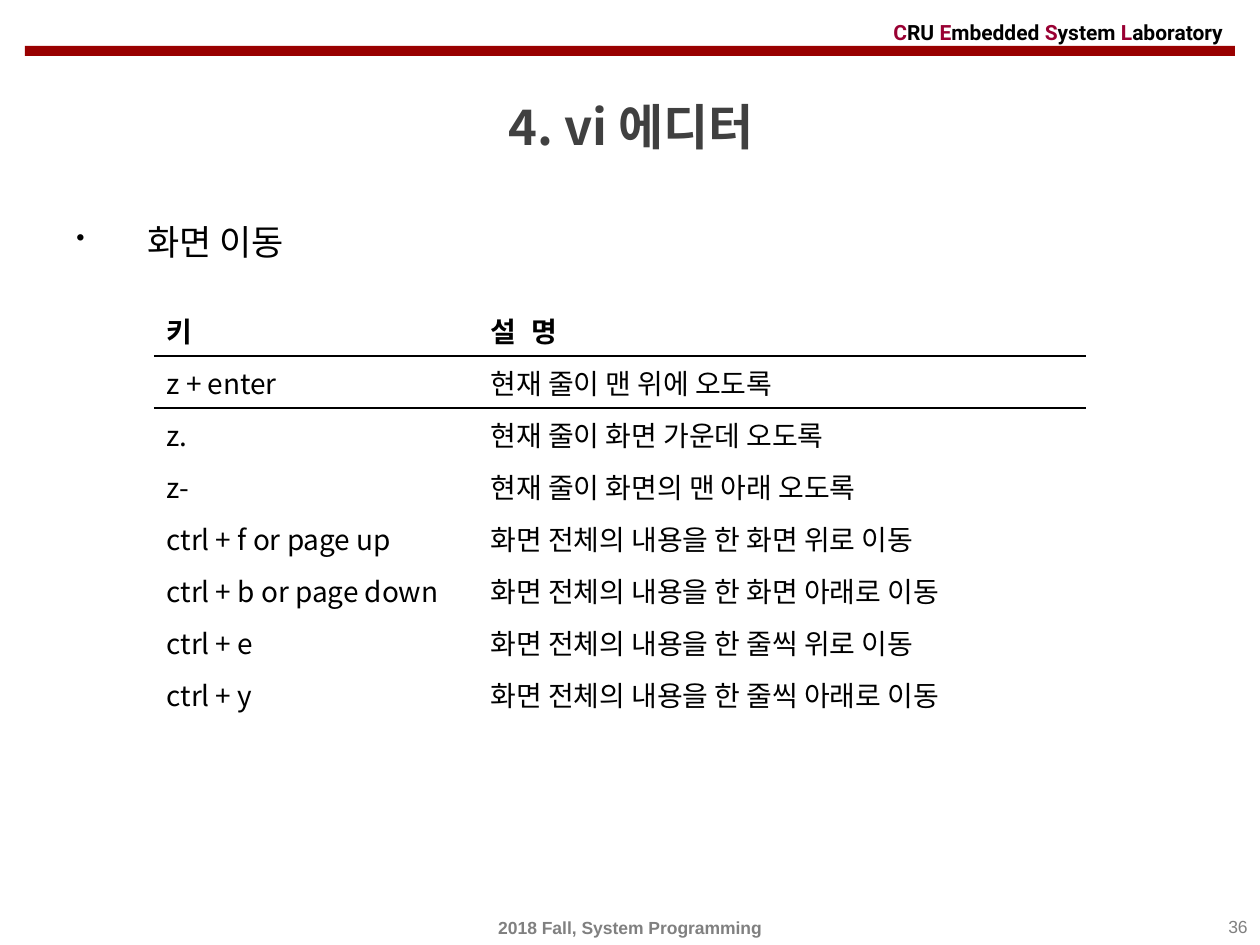
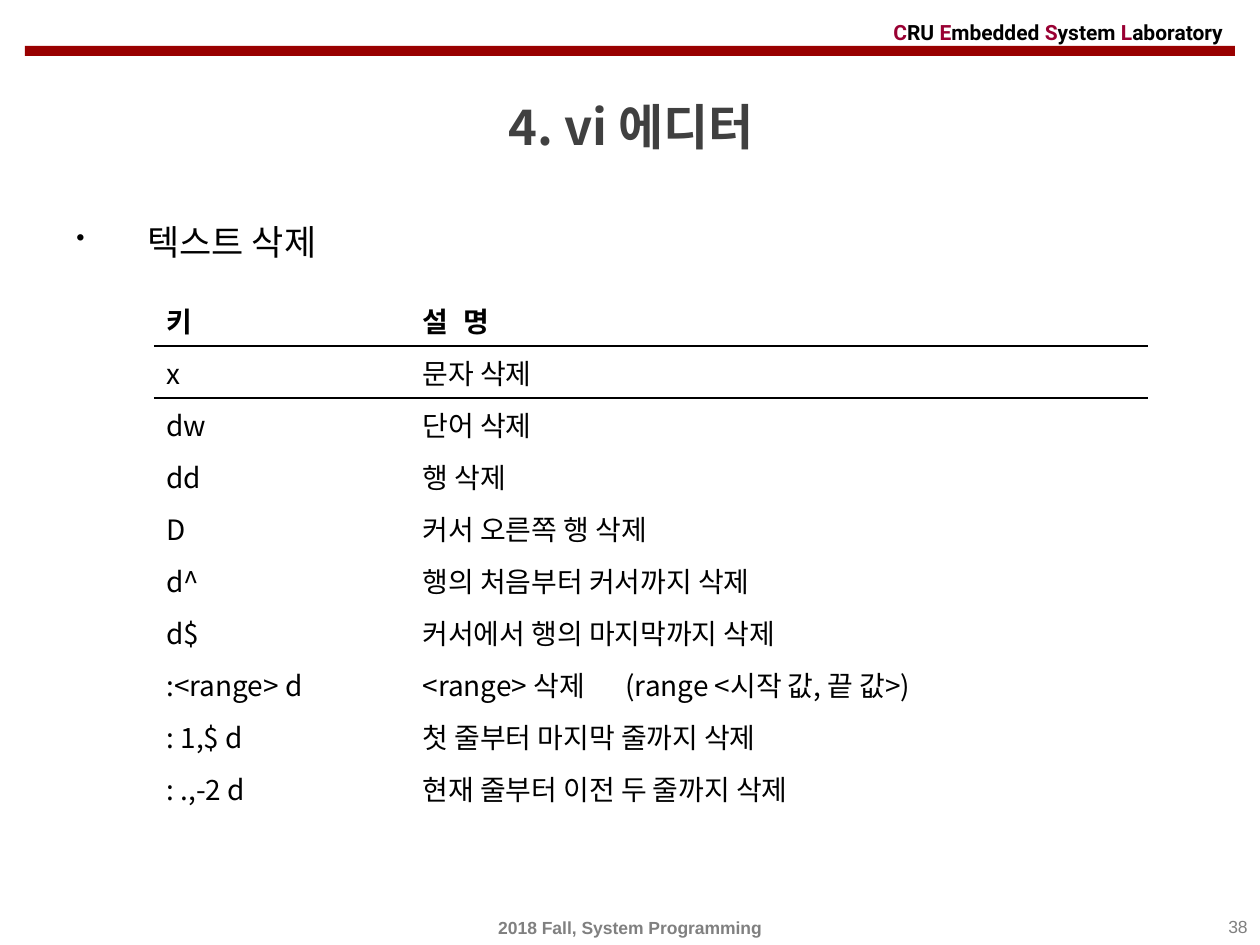
from dataclasses import dataclass

from lxml import etree
from pptx import Presentation
from pptx.dml.color import RGBColor
from pptx.enum.shapes import MSO_SHAPE
from pptx.enum.text import MSO_ANCHOR, PP_ALIGN
from pptx.oxml.ns import qn
from pptx.util import Pt

RECT = MSO_SHAPE.RECTANGLE
TOP, MIDDLE = MSO_ANCHOR.TOP, MSO_ANCHOR.MIDDLE
LEFT, CENTER, RIGHT = PP_ALIGN.LEFT, PP_ALIGN.CENTER, PP_ALIGN.RIGHT
PX = 914400 / 126
NO_TABLE_STYLE = "{2D5ABB26-0587-4C30-8999-92F81FD0307C}"


@dataclass(frozen=True)
class Theme:
    band: str = "990000"
    accent: str = "990033"
    title: str = "404040"
    text: str = "000000"
    muted: str = "808080"
    title_pt: int = 28
    body_pt: int = 20
    table_pt: int = 16
    header_pt: int = 12
    footer_pt: int = 10
    korean: str = "Noto Sans CJK KR"
    latin: str = "Roboto"
    footer: str = "Arial"


T = Theme()
TITLE = "4. vi 에디터"
FOOTER = "2018 Fall, System Programming"
LAB_NAME = ["CRU ", "Embedded ", "System ", "Laboratory"]
HEADINGS = ("키", "설\t명")
ROW_H = 52
TABLE_LEFT = 154

# Each page: number, topic, table top, column widths, rows, tab stops by text
PAGES = [
    (36, "화면 이동", 304, (324, 608), [
        ("z + enter", "현재 줄이 맨 위에 오도록"),
        ("z.", "현재 줄이 화면 가운데 오도록"),
        ("z-", "현재 줄이 화면의 맨 아래 오도록"),
        ("ctrl + f or page up", "화면 전체의 내용을 한 화면 위로 이동"),
        ("ctrl + b or page down", "화면 전체의 내용을 한 화면 아래로 이동"),
        ("ctrl + e", "화면 전체의 내용을 한 줄씩 위로 이동"),
        ("ctrl + y", "화면 전체의 내용을 한 줄씩 아래로 이동"),
    ]),
    (38, "텍스트 삭제", 294, (256, 738), [
        ("x", "문자 삭제"),
        ("dw", "단어 삭제"),
        ("dd", "행 삭제"),
        ("D", "커서 오른쪽 행 삭제"),
        ("d^", "행의 처음부터 커서까지 삭제"),
        ("d$", "커서에서 행의 마지막까지 삭제"),
        (":<range> d", "<range> 삭제\t(range <시작 값, 끝 값>)"),
        (": 1,$ d", "첫 줄부터 마지막 줄까지 삭제"),
        (": .,-2 d", "현재 줄부터 이전 두 줄까지 삭제"),
    ]),
]
HEADING_TAB, RANGE_TAB = 41, 203


def style(p, size, color, font, bold=False):
    """Format every run of a paragraph, for Latin and Korean letters alike."""
    for r in p.runs:
        r.font.size, r.font.bold, r.font.name = Pt(size), bold, font
        r.font.color.rgb = RGBColor.from_string(color)
        ea = etree.SubElement(r.font._element, qn("a:ea"))
        ea.set("typeface", T.korean)


def add_text(s, box, text, align=LEFT, anchor=TOP):
    """Add a wrapping text box, given in px, and return its paragraph."""
    tf = s.shapes.add_textbox(*(round(v * PX) for v in box)).text_frame
    tf.word_wrap, tf.vertical_anchor = True, anchor
    p = tf.paragraphs[0]
    p.text, p.alignment = text, align
    return p


prs = Presentation()
prs.slide_width, prs.slide_height = round(1260 * PX), round(945 * PX)
title_only = prs.slide_layouts[5]

for number, topic, table_top, widths, rows in PAGES:
    s = prs.slides.add_slide(title_only)

    # Band and laboratory name
    band = s.shapes.add_shape(RECT, *(round(v * PX) for v in (25, 46, 1210, 10)))
    band.shadow.inherit = False
    band.fill.solid()
    band.fill.fore_color.rgb = RGBColor.from_string(T.band)
    band.line.fill.background()
    p = add_text(s, (881, 15, 379, 35), "", anchor=MIDDLE)
    for word in LAB_NAME:
        p.add_run().text = word[0]
        p.add_run().text = word[1:]
    style(p, T.header_pt, T.text, T.latin, bold=True)
    for r in p.runs[::2]:
        r.font.color.rgb = RGBColor.from_string(T.accent)

    # Title
    title = s.shapes.title
    title.left, title.top, title.width, title.height = (
        round(v * PX) for v in (26, 76, 1210, 100))
    tf = title.text_frame
    tf.text, tf.vertical_anchor = TITLE, MIDDLE
    p = tf.paragraphs[0]
    p.alignment = CENTER
    style(p, T.title_pt, T.title, T.korean, bold=True)

    # Topic bullet
    p = add_text(s, (64, 214, 1142, 665), topic)
    style(p, T.body_pt, T.text, T.latin)
    p.space_before = Pt(4)
    pPr = p._p.get_or_add_pPr()
    pPr.set("marL", str(round(71 * PX)))
    pPr.set("indent", str(round(-71 * PX)))
    etree.SubElement(pPr, qn("a:buSzPct")).set("val", "70000")
    etree.SubElement(pPr, qn("a:buChar")).set("char", "•")

    # Key table
    lines = [HEADINGS] + rows
    box = (TABLE_LEFT, table_top, sum(widths), ROW_H * len(lines))
    frame = s.shapes.add_table(len(lines), 2, *(round(v * PX) for v in box))
    table = frame.table
    table.horz_banding = False
    next(frame.element.iter(qn("a:tableStyleId"))).text = NO_TABLE_STYLE
    for column, width in zip(table.columns, widths):
        column.width = round(width * PX)
    for i, line in enumerate(lines):
        for j, text in enumerate(line):
            cell = table.cell(i, j)
            cell.fill.background()
            p = cell.text_frame.paragraphs[0]
            p.text = text
            style(p, T.table_pt, T.text, T.korean, bold=i == 0)
            if "\t" in text:
                tabs = etree.SubElement(p._p.get_or_add_pPr(), qn("a:tabLst"))
                stop = HEADING_TAB if i == 0 else RANGE_TAB
                etree.SubElement(tabs, qn("a:tab"), pos=str(round(stop * PX)), algn="l")
            if i < 2:
                side = "a:lnB" if i == 0 else "a:lnT"
                ln = etree.Element(qn(side), w=str(Pt(1.5)))
                fill = etree.SubElement(ln, qn("a:solidFill"))
                etree.SubElement(fill, qn("a:srgbClr"), val=T.text)
                cell._tc.get_or_add_tcPr().insert(0, ln)

    # Footer
    p = add_text(s, (966, 910, 294, 35), str(number), RIGHT)
    style(p, T.footer_pt, T.muted, T.footer)
    p = add_text(s, (0, 910, 1260, 35), FOOTER, CENTER, MIDDLE)
    style(p, T.footer_pt, T.muted, T.footer, bold=True)

prs.save("out.pptx")
